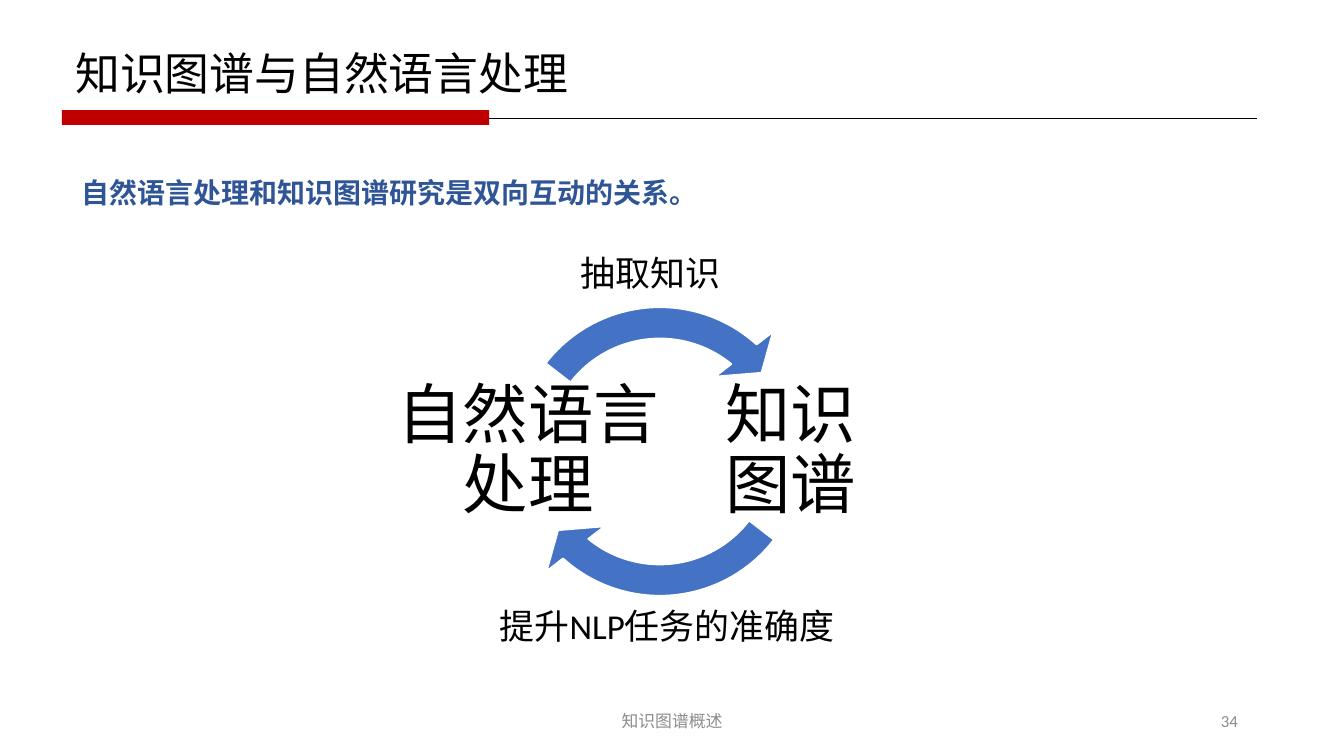
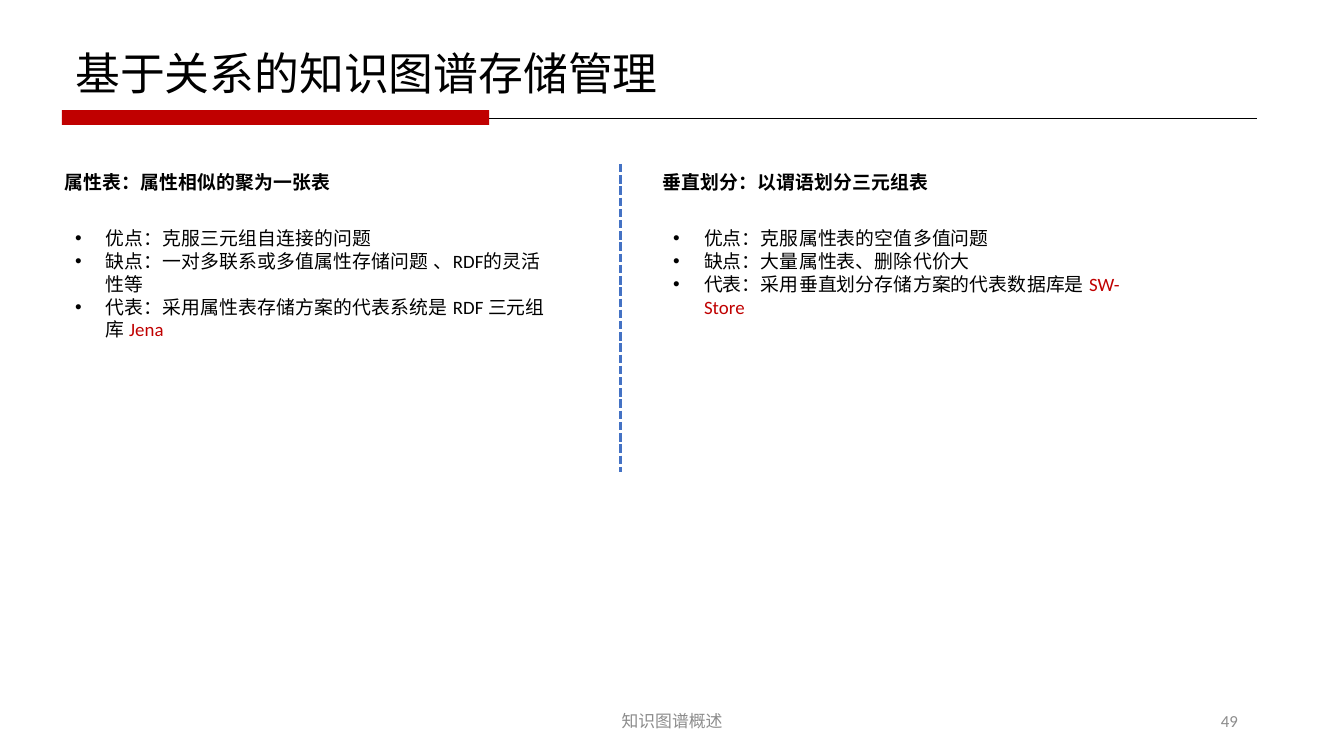
from dataclasses import dataclass

from lxml import etree
from pptx import Presentation
from pptx.dml.color import RGBColor
from pptx.enum import dml, shapes, text
from pptx.oxml.ns import qn
from pptx.util import Inches, Pt


@dataclass(frozen=True)
class Theme:
    ink: str = "000000"
    red: str = "C00000"
    blue: str = "4472C4"
    navy: str = "2F5597"
    grey: str = "8C8C8C"
    white: str = "FFFFFF"
    font: str = "Calibri"
    title: float = 24
    node: float = 35
    caption: float = 18.75
    lead: float = 15
    body: float = 10.13
    footer: float = 9


T = Theme()
LEFT, CENTER, RIGHT = text.PP_ALIGN.LEFT, text.PP_ALIGN.CENTER, text.PP_ALIGN.RIGHT
TOP, MIDDLE = text.MSO_ANCHOR.TOP, text.MSO_ANCHOR.MIDDLE
FOOTER = "知识图谱概述"


def place(sp, box):
    for name, value in zip(("left", "top", "width", "height"), box):
        setattr(sp, name, Inches(value))


def format_font(font, size, color, bold=False, name=T.font):
    values = {"size": Pt(size), "bold": bold, "name": name}
    for key, value in values.items():
        setattr(font, key, value)
    font.color.rgb = RGBColor.from_string(color)


def set_frame(tf, anchor=TOP, wrap=True, inset=None):
    values = {"word_wrap": wrap, "vertical_anchor": anchor,
              "auto_size": text.MSO_AUTO_SIZE.NONE}
    if inset is not None:
        sides = ("left", "top", "right", "bottom")
        values.update({f"margin_{side}": Inches(inset) for side in sides})
    for key, value in values.items():
        setattr(tf, key, value)


def add_text(s, box, words, size, color=T.ink, bold=False, align=LEFT,
             anchor=TOP, inset=None, spacing=None):
    tf = s.shapes.add_textbox(*map(Inches, box)).text_frame
    set_frame(tf, anchor, inset=inset)
    p = tf.paragraphs[0]
    p.alignment, p.line_spacing = align, spacing
    r = p.add_run()
    r.text = words
    format_font(r.font, size, color, bold)


def add_bullets(s, box, items):
    """Each item is a list of (words, color) runs."""
    tf = s.shapes.add_textbox(*map(Inches, box)).text_frame
    set_frame(tf)
    for i, runs in enumerate(items):
        p = tf.add_paragraph() if i else tf.paragraphs[0]
        pPr = p._p.get_or_add_pPr()
        pPr.set("marL", str(Inches(0.23)))
        pPr.set("indent", str(-Inches(0.23)))
        etree.SubElement(pPr, qn("a:buFont")).set("typeface", "Arial")
        etree.SubElement(pPr, qn("a:buChar")).set("char", "•")
        for words, color in runs:
            r = p.add_run()
            r.text = words
            format_font(r.font, T.body, color)


def add_line(s, start, end, color, width, dash=None):
    line = s.shapes.add_connector(shapes.MSO_CONNECTOR.STRAIGHT,
                                  *map(Inches, start + end))
    line.line.color.rgb = RGBColor.from_string(color)
    line.line.width = Pt(width)
    if dash:
        line.line.dash_style = dash
    etree.SubElement(line._element.spPr, qn("a:effectLst"))


def add_solid(s, preset, box, fill, outline=None):
    sp = s.shapes.add_shape(preset, *map(Inches, box))
    sp.shadow.inherit = False
    sp.fill.solid()
    sp.fill.fore_color.rgb = RGBColor.from_string(fill)
    if outline:
        sp.line.color.rgb = RGBColor.from_string(outline)
        sp.line.width = Pt(1)
    else:
        sp.line.fill.background()
    return sp


def add_framed_slide(prs, title, number, title_font):
    """Slide with title, red band, rule, footer and page number."""
    s = prs.slides.add_slide(prs.slide_layouts[5])
    sp = s.shapes.title
    place(sp, (0.46, 0.29, 0.34 * len(title) + 0.16, 0.5))
    sp.text_frame.text = title
    set_frame(sp.text_frame, wrap=False)
    p = sp.text_frame.paragraphs[0]
    p.alignment = LEFT
    format_font(p.runs[0].font, T.title, T.ink, name=title_font)

    add_line(s, (0.46, 0.88), (9.35, 0.88), T.ink, 0.5)
    add_solid(s, shapes.MSO_SHAPE.RECTANGLE, (0.46, 0.82, 3.18, 0.11), T.red)
    for box, words, align in (((3.31, 5.21, 3.38, 0.3), FOOTER, CENTER),
                              ((7.06, 5.21, 2.25, 0.3), str(number), RIGHT)):
        add_text(s, box, words, T.footer, T.grey, align=align, anchor=MIDDLE)
    return s


def add_cycle(s, x, y, size):
    """Two nodes joined by two arrows turning clockwise in a square."""
    for turn in (0, 108):
        arrow = add_solid(s, shapes.MSO_SHAPE.CIRCULAR_ARROW,
                          (x, y, size, size), T.blue, T.white)
        angles = (0.095, 6.846, 78.525 + turn, 22.629 + turn, 0.111)
        for i, value in enumerate(angles):
            arrow.adjustments[i] = value
    for words, dx, width in (("知识图谱", 1.61, 1.19),
                             ("自然语言处理", -0.83, 2.16)):
        add_text(s, (x + dx, y + 0.64, width, 1.19), words, T.node,
                 align=CENTER, anchor=MIDDLE, inset=0.05, spacing=0.9)
    add_text(s, (x + 0.54, y - 0.31, 1.34, 0.42), "抽取知识", T.caption)
    add_text(s, (x - 0.06, y + 2.32, 2.7, 0.73), "提升NLP任务的准确度", T.caption)


def add_scheme(s, x, y, heading, heading_height, items, items_height):
    """Storage scheme column: bold heading over indented bullets."""
    add_text(s, (x, y, 3.1, heading_height), heading, T.body, bold=True)
    add_bullets(s, (x + 0.08, y + 0.42, 3.79, items_height), items)


def build_interaction(prs):
    s = add_framed_slide(prs, "知识图谱与自然语言处理", 34, "Arial")
    add_text(s, (0.51, 1.26, 5.08, 0.35),
             "自然语言处理和知识图谱研究是双向互动的关系。", T.lead, T.navy, bold=True)
    add_cycle(s, 3.68, 2.13, 2.46)


def build_storage(prs):
    s = add_framed_slide(prs, "基于关系的知识图谱存储管理", 49, "Noto Sans CJK SC")
    add_scheme(s, 0.38, 1.22, "属性表：属性相似的聚为一张表", 0.44, [
        [("优点：克服三元组自连接的问题", T.ink)],
        [("缺点：一对多联系或多值属性存储问题 、RDF的灵活性等", T.ink)],
        [("代表：采用属性表存储方案的代表系统是 RDF 三元组库 ", T.ink),
         ("Jena", T.red)],
    ], 1.12)
    add_line(s, (4.62, 1.22), (4.62, 3.51), T.blue, 1.5,
             dml.MSO_LINE.SQUARE_DOT)
    add_scheme(s, 4.83, 1.22, "垂直划分：以谓语划分三元组表", 0.27, [
        [("优点：克服属性表的空值多值问题", T.ink)],
        [("缺点：大量属性表、删除代价大", T.ink)],
        [("代表：采用垂直划分存储方案的代表数据库是 ", T.ink),
         ("SW-Store", T.red)],
    ], 0.95)


def main():
    prs = Presentation()
    prs.slide_width = Inches(10)
    prs.slide_height = prs.slide_width * 9 // 16
    build_interaction(prs)
    build_storage(prs)
    prs.save("out.pptx")


if __name__ == "__main__":
    main()
